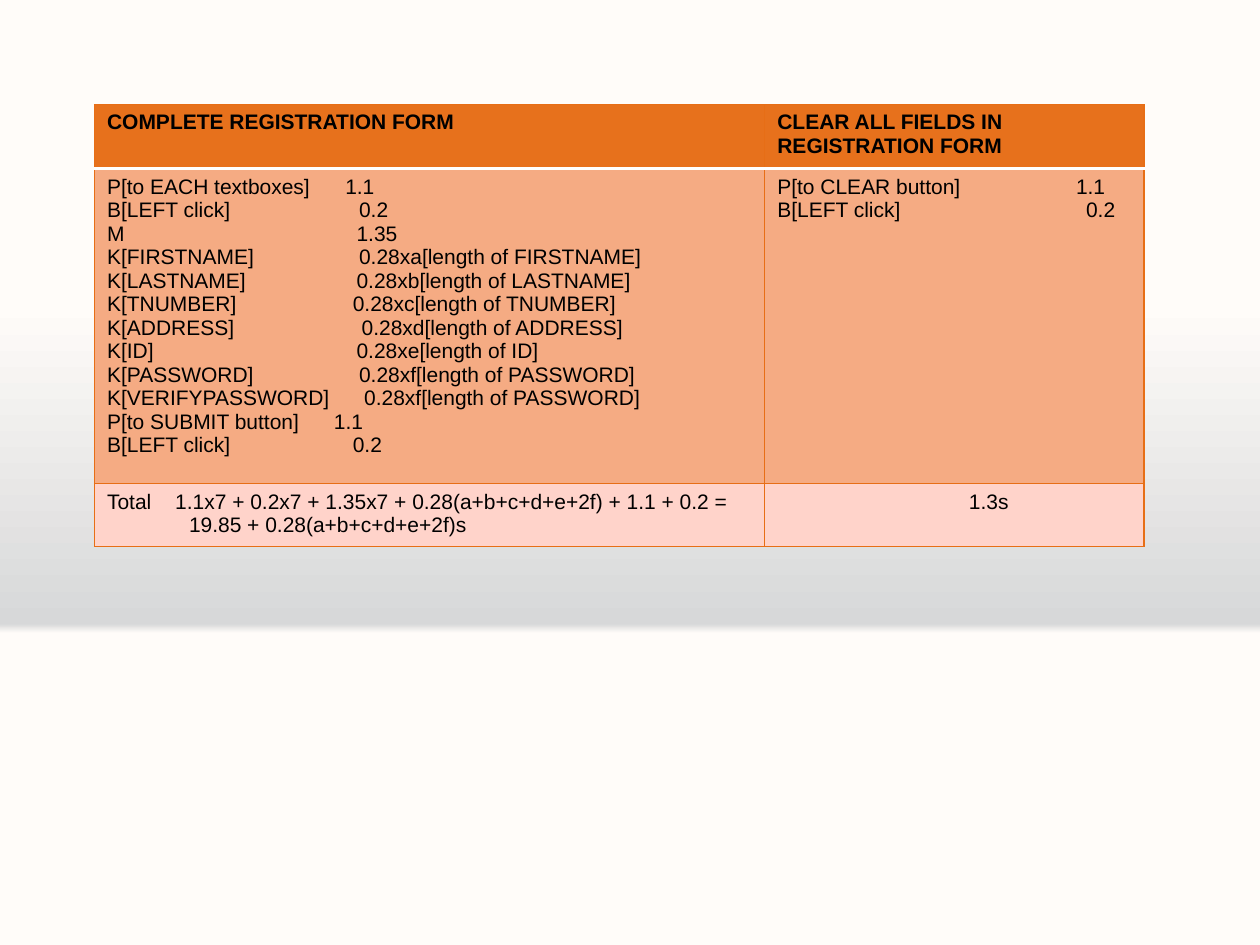
"""Build a slide that compares keystroke-level timings of two form tasks."""
from pptx import Presentation, oxml
from pptx import util as u
from pptx.dml.color import RGBColor
from pptx.oxml import ns

COLORS = {
    "paper": "FFFCF9", "shade": "D7D8D9", "header": "E7711C", "line": "E76E16",
    "steps": "F5AB83", "total": "FFD3CA", "rule": "FFFFFF", "ink": "000000",
}
BACKDROP = [(0, "paper"), (33, "paper"), (34, "shade"), (68, "paper"), (100, "paper")]
COLUMNS = [5.32, 3.01]
ROWS = [0.51, 2.5, 0.5]
FILLS = ["header", "steps", "total"]
FIELDS = [
    ("FIRSTNAME", "a", "FIRSTNAME", 2), ("LASTNAME", "b", "LASTNAME", 1.98),
    ("TNUMBER", "c", "TNUMBER", 1.95), ("ADDRESS", "d", "ADDRESS", 2.02),
    ("ID", "e", "ID", 1.98), ("PASSWORD", "f", "PASSWORD", 2),
    ("VERIFYPASSWORD", "f", "PASSWORD", 2.04),
]
FORM_STEPS = [
    ("P[to EACH textboxes]", "1.1", 1.89),
    ("B[LEFT click]", "0.2", 2),
    ("M", "1.35", 1.98),
    *[(f"K[{field}]", f"0.28x{factor}[length of {source}]", stop)
      for field, factor, source, stop in FIELDS],
    ("P[to SUBMIT button]", "1.1", 1.8),
    ("B[LEFT click]", "0.2", 1.95),
]
CLEAR_STEPS = [("P[to CLEAR button]", "1.1", 2.37), ("B[LEFT click]", "0.2", 2.45)]
FORM_TOTAL = [
    ("Total", "1.1x7 + 0.2x7 + 1.35x7 + 0.28(a+b+c+d+e+2f) + 1.1 + 0.2 =", 0.54),
    ("", "19.85 + 0.28(a+b+c+d+e+2f)s", 0.65),
]
CONTENT = [
    [[("COMPLETE REGISTRATION FORM", "", 0)],
     [("CLEAR ALL FIELDS IN REGISTRATION FORM", "", 0)]],
    [FORM_STEPS, CLEAR_STEPS],
    [FORM_TOTAL, [("", "1.3s", 1.52)]],
]


def add_color(parent, name):
    color = oxml.xmlchemy.OxmlElement("a:srgbClr")
    color.set("val", COLORS[name])
    parent.append(color)


def paint_background(page):
    fill = page.background.fill
    fill.gradient()
    fill.gradient_angle = 90
    stops = next(page.background._cSld.iter(ns.qn("a:gsLst")))
    for stop in list(stops):
        stops.remove(stop)
    for position, name in BACKDROP:
        stop = oxml.xmlchemy.OxmlElement("a:gs")
        stop.set("pos", str(position * 1000))
        add_color(stop, name)
        stops.append(stop)


def add_border(cell, side, name, points):
    line = oxml.xmlchemy.OxmlElement(f"a:ln{side}")
    line.set("w", str(u.Pt(points)))
    solid = oxml.xmlchemy.OxmlElement("a:solidFill")
    add_color(solid, name)
    line.append(solid)
    cell._tc.get_or_add_tcPr().append(line)


def add_line(para, label, value, stop, bold):
    properties = para._p.get_or_add_pPr()
    if label and value:
        tabs = oxml.xmlchemy.OxmlElement("a:tabLst")
        tab = oxml.xmlchemy.OxmlElement("a:tab")
        tab.set("pos", str(u.Inches(stop)))
        tab.set("algn", "l")
        tabs.append(tab)
        properties.append(tabs)
    elif value:
        properties.set("marL", str(u.Inches(stop)))
    span = para.add_run()
    span.text = "\t".join(part for part in (label, value) if part)
    formats = {"name": "Arial", "size": u.Pt(12), "bold": bold}
    for key, setting in formats.items():
        setattr(span.font, key, setting)
    span.font.color.rgb = RGBColor.from_string(COLORS["ink"])


def fill_cell(cell, lines, row):
    for side in "LRTB":
        under_header = (row == 0 and side == "B") or (row == 1 and side == "T")
        add_border(cell, side, *(("rule", 2) if under_header else ("line", 0.75)))
    cell.fill.solid()
    cell.fill.fore_color.rgb = RGBColor.from_string(COLORS[FILLS[row]])
    for index, line in enumerate(lines):
        para = cell.text_frame.add_paragraph() if index else cell.text_frame.paragraphs[0]
        add_line(para, *line, bold=row == 0)


def add_timings(page):
    box = page.shapes.add_table(
        len(ROWS), len(COLUMNS), u.Inches(0.75), u.Inches(0.83),
        u.Inches(sum(COLUMNS)), u.Inches(sum(ROWS)))
    table = box.table
    for column, width in zip(table.columns, COLUMNS):
        column.width = u.Inches(width)
    for row, height in enumerate(ROWS):
        table.rows[row].height = u.Inches(height)
        for column, lines in enumerate(CONTENT[row]):
            fill_cell(table.cell(row, column), lines, row)


def main():
    deck = Presentation()
    deck.slide_width, deck.slide_height = u.Inches(10), u.Inches(7.5)
    page = deck.slides.add_slide(deck.slide_layouts[6])
    paint_background(page)
    add_timings(page)
    deck.save("out.pptx")


if __name__ == "__main__":
    main()
